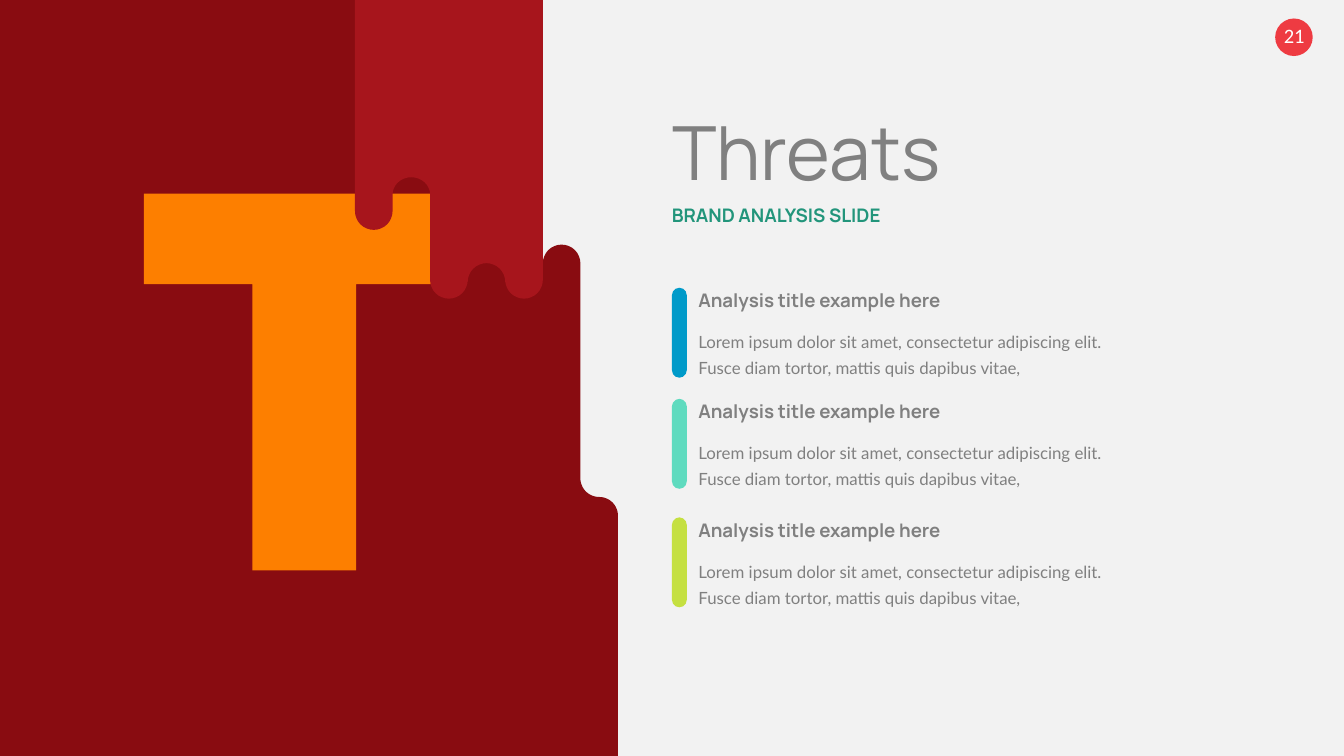
from math import cos, pi, sin

from pptx import Presentation
from pptx.dml.color import RGBColor
from pptx.enum.shapes import MSO_SHAPE
from pptx.enum.text import MSO_ANCHOR, MSO_AUTO_SIZE, PP_ALIGN
from pptx.util import Cm, Pt

# Colours
PAPER = RGBColor(0xF2, 0xF2, 0xF2)
DARK_RED = RGBColor(0x89, 0x0C, 0x11)
RED = RGBColor(0xA7, 0x15, 0x1C)
BADGE_RED = RGBColor(0xEE, 0x3B, 0x42)
ORANGE = RGBColor(0xFD, 0x7F, 0x00)
GREY = RGBColor(0x80, 0x80, 0x80)
GREEN = RGBColor(0x22, 0x95, 0x7B)
WHITE = RGBColor(0xFF, 0xFF, 0xFF)
BLUE = RGBColor(0x00, 0x9A, 0xC9)
TEAL = RGBColor(0x5F, 0xDB, 0xBF)
LIME = RGBColor(0xC5, 0xE0, 0x41)

# Content
TITLE = "Threats"
SUBTITLE = "BRAND ANALYSIS SLIDE"
PAGE_NUMBER = "21"
ITEM_TITLE = "Analysis title example here"
ITEM_TEXT = ("Lorem ipsum dolor sit amet, consectetur adipiscing elit. "
             "Fusce diam tortor, mattis quis dapibus vitae,")
ITEMS = [  # top of the bar in cm, title, text, bar colour
    (5.44, ITEM_TITLE, ITEM_TEXT, BLUE),
    (7.54, ITEM_TITLE, ITEM_TEXT, TEAL),
    (9.78, ITEM_TITLE, ITEM_TEXT, LIME),
]

# Text formats; margins are left, top, right, bottom in cm
TITLE_FORMAT = {
    "font": {"name": "Manrope", "size": Pt(40), "bold": False},
    "paragraph": {"line_spacing": 0.9, "space_before": Pt(10)},
    "colour": GREY, "margins": (0, 0.13, 0.25, 0.13)}
SUBTITLE_FORMAT = {
    "font": {"name": "Manrope", "size": Pt(10), "bold": True},
    "paragraph": {"line_spacing": 0.9, "space_before": Pt(10)},
    "colour": GREEN, "margins": (0, 0.13, 0.25, 0.13)}
ITEM_TITLE_FORMAT = {
    "font": {"name": "Manrope", "size": Pt(10), "bold": True},
    "paragraph": {"line_spacing": 0.9, "space_before": Pt(7.5)},
    "colour": GREY, "margins": (0, 0.2, 0, 0.2)}
ITEM_TEXT_FORMAT = {
    "font": {"name": "Lato", "size": Pt(9)},
    "paragraph": {"line_spacing": Pt(14), "space_before": Pt(7.5)},
    "colour": GREY, "margins": (0, 0, 0, 0)}
BADGE_FORMAT = {
    "font": {"name": "Calibri", "size": Pt(11)},
    "paragraph": {"alignment": PP_ALIGN.CENTER},
    "colour": WHITE, "margins": (0.25, 0.13, 0.25, 0.13),
    "anchor": MSO_ANCHOR.MIDDLE}

# Geometry in cm
SLIDE_WIDTH, SLIDE_HEIGHT = 25.4, 14.29
TEXT_LEFT, ITEM_LEFT, ITEM_WIDTH = 12.7, 13.2, 8.2
COLUMN_WIDTH = 0.71
RADIUS = COLUMN_WIDTH / 2
COLUMNS = [6.71 + COLUMN_WIDTH * index for index in range(8)]
ARC_STEPS = 16


def arc(centre_x, centre_y, start, end, height=RADIUS):
    """Points on an arc; angles in degrees, counted clockwise from the right."""
    angles = [(start + (end - start) * step / ARC_STEPS) * pi / 180
              for step in range(ARC_STEPS + 1)]
    return [(centre_x + RADIUS * cos(angle), centre_y + height * sin(angle))
            for angle in angles]


def drip(column, y):
    return arc(COLUMNS[column] + RADIUS, y, 180, 0)


def arch(column, y, height=RADIUS):
    return arc(COLUMNS[column] + RADIUS, y, 180, 360, height)


def paint(shape, colour):
    shape.shadow.inherit = False
    shape.fill.solid()
    shape.fill.fore_color.rgb = colour
    shape.line.fill.background()


def add_outline(slide, points, colour):
    corners = [(Cm(x), Cm(y)) for x, y in points]
    builder = slide.shapes.build_freeform(*corners[0])
    builder.add_line_segments(corners[1:], close=True)
    paint(builder.convert_to_shape(), colour)


def add_pill(slide, left, top, width, height, colour):
    shape = slide.shapes.add_shape(
        MSO_SHAPE.ROUNDED_RECTANGLE, Cm(left), Cm(top), Cm(width), Cm(height))
    shape.adjustments[0] = 0.5
    paint(shape, colour)


def write_text(shape, text, style):
    frame = shape.text_frame
    frame.text = text
    frame.word_wrap = True
    frame.auto_size = MSO_AUTO_SIZE.NONE
    frame.vertical_anchor = style.get("anchor", MSO_ANCHOR.TOP)
    for side, margin in zip(("left", "top", "right", "bottom"), style["margins"]):
        setattr(frame, f"margin_{side}", Cm(margin))
    paragraph = frame.paragraphs[0]
    paragraph.alignment = PP_ALIGN.LEFT
    for name, value in style["paragraph"].items():
        setattr(paragraph, name, value)
    font = paragraph.runs[0].font
    for name, value in style["font"].items():
        setattr(font, name, value)
    font.color.rgb = style["colour"]


def add_text(slide, left, top, width, height, text, style):
    box = slide.shapes.add_textbox(Cm(left), Cm(top), Cm(width), Cm(height))
    write_text(box, text, style)


def main():
    presentation = Presentation()
    presentation.slide_width = Cm(SLIDE_WIDTH)
    presentation.slide_height = Cm(SLIDE_HEIGHT)
    slide = presentation.slides.add_slide(presentation.slide_layouts[5])
    slide.background.fill.solid()
    slide.background.fill.fore_color.rgb = PAPER

    # Dark panel with a rounded step on its right edge
    panel = [(0, 0), (COLUMNS[5], 0), *arch(5, 4.98),
             *arc(COLUMNS[6] + RADIUS, 9.04, 180, 90),
             *arc(COLUMNS[7] - RADIUS, 9.04 + 2 * RADIUS, 270, 360),
             (COLUMNS[7], SLIDE_HEIGHT), (0, SLIDE_HEIGHT)]
    add_outline(slide, panel, DARK_RED)

    # Large letter
    letter = [(2.72, 3.66), (8.77, 3.66), (8.77, 5.37), (6.73, 5.37),
              (6.73, 10.78), (4.77, 10.78), (4.77, 5.37), (2.72, 5.37)]
    add_outline(slide, letter, ORANGE)

    # Paint drips over the letter
    drips = [(COLUMNS[0], 0), *drip(0, 3.99), *arch(1, 3.68, 0.33),
             *drip(2, 5.29), *arch(3, 5.33), *drip(4, 5.29), (COLUMNS[5], 0)]
    add_outline(slide, drips, RED)

    # Page number badge
    add_pill(slide, 24.1, 0.35, 0.71, 0.71, BADGE_RED)
    add_text(slide, 23.7, 0.28, 1.52, 0.76, PAGE_NUMBER, BADGE_FORMAT)

    # Headings
    title = slide.shapes.title
    title.left, title.top = Cm(TEXT_LEFT), Cm(2.06)
    title.width, title.height = Cm(11.4), Cm(1.6)
    write_text(title, TITLE, TITLE_FORMAT)
    add_text(slide, TEXT_LEFT, 3.78, 11.4, 0.61, SUBTITLE, SUBTITLE_FORMAT)

    # Analysis items
    for top, heading, text, colour in ITEMS:
        add_pill(slide, TEXT_LEFT, top, 0.28, 1.7, colour)
        add_text(slide, ITEM_LEFT, top - 0.13, ITEM_WIDTH, 0.84,
                 heading, ITEM_TITLE_FORMAT)
        add_text(slide, ITEM_LEFT, top + 0.72, ITEM_WIDTH, 1,
                 text, ITEM_TEXT_FORMAT)

    presentation.save("out.pptx")


if __name__ == "__main__":
    main()
